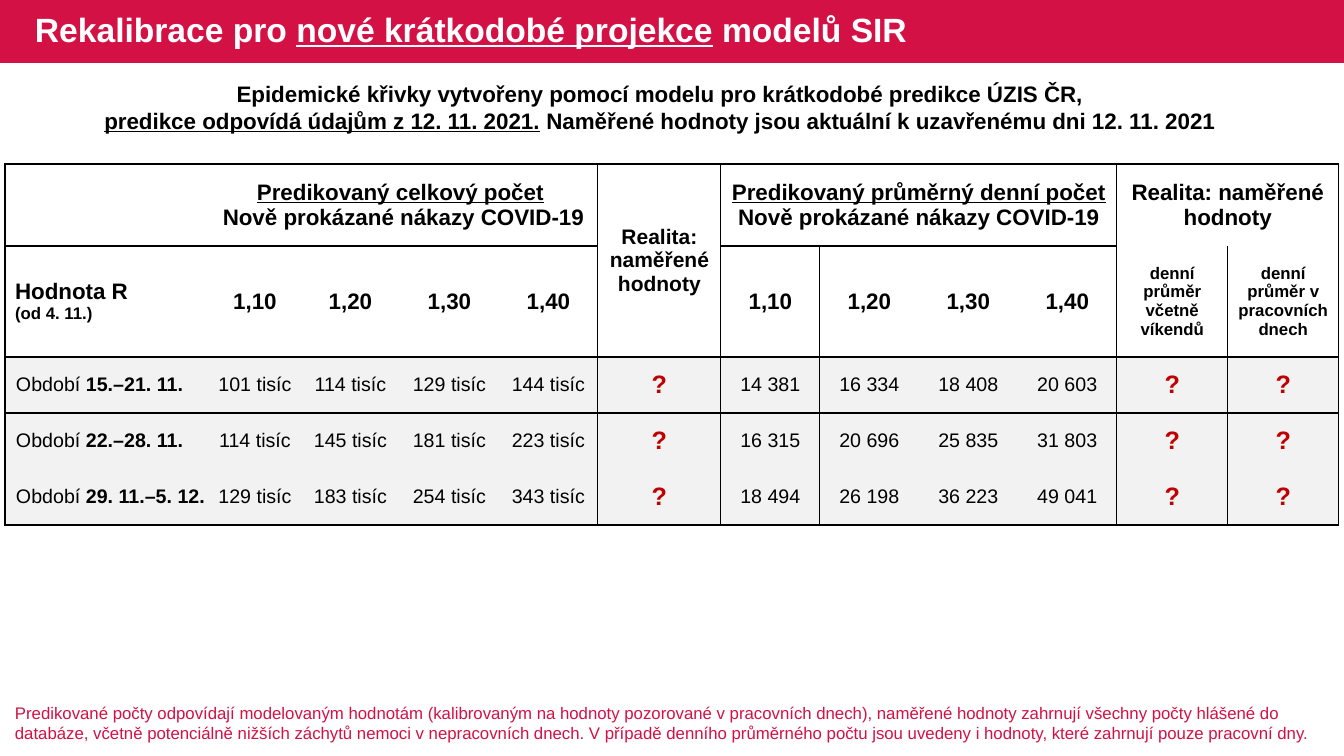
from dataclasses import dataclass

from lxml import etree
from pptx import Presentation
from pptx import util as u
from pptx.dml.color import RGBColor
from pptx.enum import shapes, text
from pptx.oxml.ns import qn


@dataclass(frozen=True)
class Theme:
    font: str = "Arial"
    red: str = "D31145"
    alert: str = "C00000"
    black: str = "000000"
    white: str = "FFFFFF"
    grey: str = "F2F2F2"
    title: int = 24
    mark: int = 18
    head: int = 16
    real: int = 15
    body: int = 14
    small: int = 12


LEFT, MID = text.PP_ALIGN.LEFT, text.PP_ALIGN.CENTER
UNDER, BOLD = {"underline": True}, {"bold": True}
BREAK = "\n"


def px(n):
    return u.Emu(round(n * 914400 / 100.8))


class Page:
    def __init__(self, deck, theme):
        self.theme = theme
        self.slide = deck.slides.add_slide(deck.slide_layouts[6])

    def put(self, frame, paras, size, color=None, bold=True, align=MID, gap=None):
        """Fill a frame; a paragraph is a list of strings, (string, font) pairs and BREAKs."""
        frame.word_wrap = True
        for i, runs in enumerate(paras):
            para = frame.paragraphs[0] if i == 0 else frame.add_paragraph()
            para.alignment = align
            if gap:
                para.line_spacing = gap
            font = para.font
            font.name, font.size, font.bold = self.theme.font, u.Pt(size), bold
            font.color.rgb = RGBColor.from_string(color or self.theme.black)
            for item in runs:
                if item == BREAK:
                    para.add_line_break()
                    continue
                words, style = (item, {}) if isinstance(item, str) else item
                run = para.add_run()
                run.text = words
                run.font.underline = style.get("underline")
                run.font.bold = style.get("bold")
                run.font.size = style.get("size")

    def bar(self, x, y, w, h, color):
        box = self.slide.shapes.add_shape(shapes.MSO_SHAPE.RECTANGLE, *map(px, (x, y, w, h)))
        box.shadow.inherit = False
        box.fill.solid()
        box.fill.fore_color.rgb = RGBColor.from_string(color)
        box.line.fill.background()

    def label(self, x, y, w, h, paras, size, anchor=text.MSO_ANCHOR.TOP, **style):
        frame = self.slide.shapes.add_textbox(*map(px, (x, y, w, h))).text_frame
        frame.vertical_anchor = anchor
        self.put(frame, paras, size, **style)

    def grid(self, x, y, cols, rows):
        frame = self.slide.shapes.add_table(
            len(rows), len(cols), px(x), px(y), px(sum(cols)), px(sum(rows)))
        table = frame.table
        table.first_row = table.horz_banding = False
        for col, w in zip(table.columns, cols):
            col.width = px(w)
        for row, h in zip(table.rows, rows):
            row.height = px(h)
        return table

    def cell(self, cell, paras, size, pad=None, **style):
        """Fill a cell with text; pad is (left, right), with no space above or below."""
        cell.vertical_anchor = text.MSO_ANCHOR.MIDDLE
        if pad:
            cell.margin_left, cell.margin_right = map(px, pad)
            cell.margin_top = cell.margin_bottom = 0
        self.put(cell.text_frame, paras, size, **style)

    def edges(self, cell, sides):
        """Draw the cell's left, right, top and bottom lines where sides is true."""
        props = cell._tc.get_or_add_tcPr()
        for i, (tag, shown) in enumerate(zip(("lnL", "lnR", "lnT", "lnB"), sides)):
            line = etree.Element(qn("a:" + tag), w=str(u.Pt(1)))
            props.insert(i, line)
            if shown:
                fill = etree.SubElement(line, qn("a:solidFill"))
                etree.SubElement(fill, qn("a:srgbClr"), val=self.theme.black)
            else:
                etree.SubElement(line, qn("a:noFill"))


RATES = ["1,10", "1,20", "1,30", "1,40"]
WEEKS = [
    ("15.–21. 11.", [101, 114, 129, 144], ["14 381", "16 334", "18 408", "20 603"]),
    ("22.–28. 11.", [114, 145, 181, 223], ["16 315", "20 696", "25 835", "31 803"]),
    ("29. 11.–5. 12.", [129, 183, 254, 343], ["18 494", "26 198", "36 223", "49 041"]),
]
TOTAL, REAL, DAILY, MEAN = 1, 5, 6, 10  # first column of each group


def across(row, col):
    """Whether a line runs along the top of this row at this column."""
    return row != 4 and not (row == 1 and col in (REAL, MEAN, MEAN + 1))


def down(row, col):
    """Whether a line runs along the left of this column at this row."""
    return col in (0, REAL, DAILY, MEAN, 12) or (row > 0 and col in (DAILY + 1, MEAN + 1))


def heads(page, table):
    t = page.theme
    for row, col, end in ((0, TOTAL, (0, 4)), (0, REAL, (1, REAL)),
                          (0, DAILY, (0, 9)), (0, MEAN, (0, 11))):
        table.cell(row, col).merge(table.cell(*end))
    cases = "Nově prokázané nákazy COVID-19"
    real = [["Realita: naměřené"], ["hodnoty"]]
    page.cell(table.cell(0, TOTAL),
              [[("Predikovaný celkový počet", UNDER), " ", BREAK, cases]], t.head)
    page.cell(table.cell(0, REAL), real, t.real)
    page.cell(table.cell(0, DAILY),
              [[("Predikovaný průměrný denní počet", UNDER), " " + cases]], t.head)
    page.cell(table.cell(0, MEAN), real, t.head)
    page.cell(table.cell(1, 0),
              [["Hodnota R", BREAK, ("(od 4. 11.)", {"size": u.Pt(t.small)})]],
              t.head, align=LEFT)
    for start in (TOTAL, DAILY):
        for i, rate in enumerate(RATES):
            page.cell(table.cell(1, start + i), [[rate]], t.head, pad=(1, 1))
    for i, name in enumerate(("včetně víkendů", "v pracovních dnech")):
        page.cell(table.cell(1, MEAN + i), [["denní průměr " + name]], t.small)


def weeks(page, table):
    t = page.theme
    for row, (week, totals, means) in enumerate(WEEKS, 2):
        page.cell(table.cell(row, 0), [["Období ", (week, BOLD)]], t.body,
                  pad=(11, 1), bold=False, align=LEFT)
        values = [f"{n} tisíc" for n in totals] + ["?"] + means + ["?", "?"]
        for col, value in enumerate(values, 1):
            blank = value == "?"
            page.cell(table.cell(row, col), [[value]], t.mark if blank else t.body,
                      pad=(0, 0), bold=blank, color=t.alert if blank else t.black)


def finish(page, table):
    """Set the fill and lines of every cell."""
    for row in range(len(table.rows)):
        for col in range(len(table.columns)):
            cell = table.cell(row, col)
            if row < 2:
                cell.fill.background()
            else:
                cell.fill.solid()
                cell.fill.fore_color.rgb = RGBColor.from_string(page.theme.grey)
            right = col + (cell.span_width if cell.is_merge_origin else 1)
            below = row + (cell.span_height if cell.is_merge_origin else 1)
            page.edges(cell, (down(row, col), down(row, right),
                              across(row, col), across(below, col)))


def main():
    deck = Presentation()
    deck.slide_width, deck.slide_height = px(1344), px(756)
    t = Theme()
    page = Page(deck, t)
    page.bar(0, 0, 1344, 63, t.red)
    page.label(0, 75, 1320, 64, [[
        "Epidemické křivky vytvořeny pomocí modelu pro krátkodobé predikce ÚZIS ČR,", BREAK,
        ("predikce odpovídá údajům z 12. 11. 2021.", UNDER),
        " Naměřené hodnoty jsou aktuální k uzavřenému dni 12. 11. 2021"]], t.head)
    page.label(25, 0, 1296, 63, [[
        "Rekalibrace pro ", ("nové krátkodobé projekce", UNDER), " modelů SIR"]],
        t.title, anchor=text.MSO_ANCHOR.MIDDLE, color=t.white, align=LEFT, gap=0.9)
    table = page.grid(5, 164, [204, 92] + [99] * 3 + [123] + [99] * 4 + [111] * 2,
                      [82, 111] + [56] * 3)
    heads(page, table)
    weeks(page, table)
    finish(page, table)
    page.label(5, 698, 1333, 50, [[
        "Predikované počty odpovídají modelovaným hodnotám (kalibrovaným na hodnoty "
        "pozorované v pracovních dnech), naměřené hodnoty zahrnují všechny počty hlášené "
        "do databáze, včetně potenciálně nižších záchytů nemoci v nepracovních dnech. "
        "V případě denního průměrného počtu jsou uvedeny i hodnoty, které zahrnují pouze "
        "pracovní dny."]], t.small, color=t.red, bold=False, align=LEFT)
    deck.save("out.pptx")


if __name__ == "__main__":
    main()
